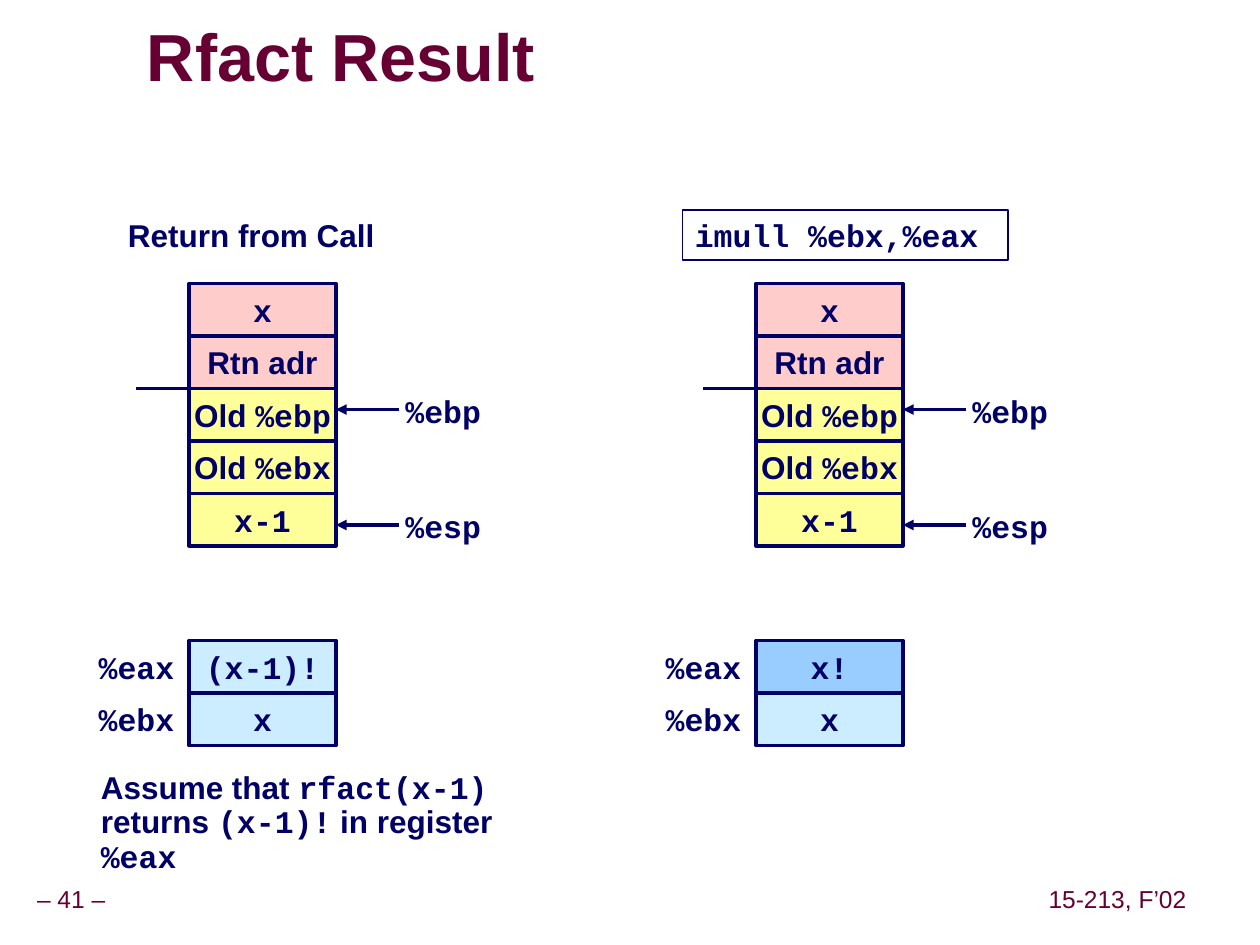
from dataclasses import dataclass

from lxml import etree
from pptx import Presentation
from pptx.dml.color import RGBColor
from pptx.enum.shapes import MSO_CONNECTOR, MSO_SHAPE
from pptx.enum.text import MSO_ANCHOR, MSO_AUTO_SIZE, PP_ALIGN
from pptx.oxml.ns import qn
from pptx.util import Pt

LEFT, MID = PP_ALIGN.LEFT, PP_ALIGN.CENTER
TOP, CORE = MSO_ANCHOR.TOP, MSO_ANCHOR.MIDDLE
RECT, LINE = MSO_SHAPE.RECTANGLE, MSO_CONNECTOR.STRAIGHT
FIXED = MSO_AUTO_SIZE.NONE


@dataclass(frozen=True)
class Theme:
    sans: str = "Arial"
    mono: str = "Courier New"
    navy: str = "000066"
    wine: str = "660033"
    pink: str = "FFCCCC"
    yellow: str = "FFFF99"
    pale: str = "CCECFF"
    sky: str = "99CCFF"
    white: str = "FFFFFF"
    shade: str = "969696"
    title: int = 38
    body: int = 18
    small: int = 14


T = Theme()
WIDE, HIGH = 84, 30  # one stack cell


def sans(text):
    return text, T.sans


def mono(text):
    return text, T.mono


def write(shape, runs, size=T.body, color=T.navy, bold=True, align=LEFT,
          anchor=TOP, pad=(7.2, 3.6), wrap=False, space=1.0):
    frame = shape.text_frame
    frame.auto_size = FIXED
    frame.word_wrap = wrap
    frame.vertical_anchor = anchor
    frame.margin_left = frame.margin_right = Pt(pad[0])
    frame.margin_top = frame.margin_bottom = Pt(pad[1])
    para = frame.paragraphs[0]
    para.alignment = align
    para.line_spacing = space
    para.space_before = Pt(0)
    for text, face in runs:
        run = para.add_run()
        run.text = text
        font = run.font
        font.name, font.size, font.bold = face, Pt(size), bold
        font.color.rgb = RGBColor.from_string(color)


def label(slide, box, runs, **style):
    shape = slide.shapes.add_textbox(*map(Pt, box))
    write(shape, runs, **style)


def block(slide, box, runs, fill=None, edge=2, **style):
    shape = slide.shapes.add_shape(RECT, *map(Pt, box))
    shape.shadow.inherit = False
    if fill:
        shape.fill.solid()
        shape.fill.fore_color.rgb = RGBColor.from_string(fill)
    else:
        shape.fill.background()
    if edge:
        shape.line.color.rgb = RGBColor.from_string(T.navy)
        shape.line.width = Pt(edge)
    else:
        shape.line.fill.background()
    write(shape, runs, **style)


def rule(slide, start, end, y, arrow=False):
    line = slide.shapes.add_connector(LINE, Pt(start), Pt(y), Pt(end), Pt(y))
    line.line.color.rgb = RGBColor.from_string(T.navy)
    line.line.width = Pt(2)
    if arrow:
        etree.SubElement(line.line._get_or_add_ln(), qn("a:tailEnd"),
                         type="triangle")
    etree.SubElement(line._element.spPr, qn("a:effectLst"))


def heading(slide, box, text):
    title = slide.shapes.title
    title.left, title.top, title.width, title.height = map(Pt, box)
    write(title, [sans(text)], T.title, T.wine, anchor=CORE, pad=(0, 0),
          wrap=True, space=0.87)
    # Text shadow, placed after the fill of the run
    props = title.text_frame.paragraphs[0].runs[0].font._element
    effect = etree.Element(qn("a:effectLst"))
    props.find(qn("a:solidFill")).addnext(effect)
    cast = etree.SubElement(effect, qn("a:outerShdw"), dist="35921",
                            dir="2700000")
    etree.SubElement(cast, qn("a:srgbClr"), val=T.shade)


def stack(slide, x, y):
    cells = [
        (T.pink, [mono("x")]),
        (T.pink, [sans("Rtn adr")]),
        (T.yellow, [sans("Old "), mono("%ebp")]),
        (T.yellow, [sans("Old "), mono("%ebx")]),
        (T.yellow, [mono("x-1")]),
    ]
    for row, (fill, runs) in enumerate(cells):
        block(slide, (x, y + row * HIGH, WIDE, HIGH), runs, fill,
              align=MID, anchor=CORE)
    # Frame border and pointers
    rule(slide, x - 30, x, y + 2 * HIGH)
    for name, drop in (("%ebp", 72), ("%esp", 138)):
        rule(slide, x + WIDE + 36, x + WIDE, y + drop, arrow=True)
        label(slide, (x + 116.6, y + drop - 13.7, 57.6, 28.8), [mono(name)])


def bank(slide, x, y, regs):
    for row, (name, value, fill) in enumerate(regs):
        top = y + row * HIGH
        block(slide, (x - 54, top, 48, HIGH), [mono(name)], T.white, 0,
              align=MID, anchor=CORE)
        block(slide, (x, top, WIDE, HIGH), [mono(value)], fill,
              align=MID, anchor=CORE)


def panel(slide, x, y, result, fill):
    stack(slide, x + 54, y + 42)
    bank(slide, x + 54, y + 246,
         [("%eax", result, fill), ("%ebx", "x", T.pale)])


def footer(slide, y):
    for x, width, text in ((-6.5, 94.3, "– 41 –"),
                           (595.4, 86.4, "15-213, F’02")):
        label(slide, (x, y, width, 22.3), [sans(text)], size=T.small,
              color=T.wine, bold=False, align=MID, anchor=CORE,
              pad=(3.6, 3.6), space=0.9)


def main():
    deck = Presentation()
    deck.slide_width, deck.slide_height = Pt(720), Pt(540)
    slide = deck.slides.add_slide(deck.slide_layouts[5])
    heading(slide, (84, 12, 406, 45.5), "Rfact Result")

    # State after the call
    label(slide, (66, 120, 168, 28.8), [sans("Return from Call")], wrap=True)
    panel(slide, 54, 120, "(x-1)!", T.pale)
    label(slide, (54, 438, 240, 65.5),
          [sans("Assume that "), mono("rfact(x-1)"), sans(" returns "),
           mono("(x-1)!"), sans(" in register "), mono("%eax")],
          pad=(3.6, 3.6), wrap=True, space=0.9)

    # State after the multiply
    block(slide, (390, 120, 186, 28.8), [mono("imull %ebx,%eax")], edge=1,
          wrap=True)
    panel(slide, 378, 120, "x!", T.sky)

    footer(slide, 503.6)
    deck.save("out.pptx")


if __name__ == "__main__":
    main()
